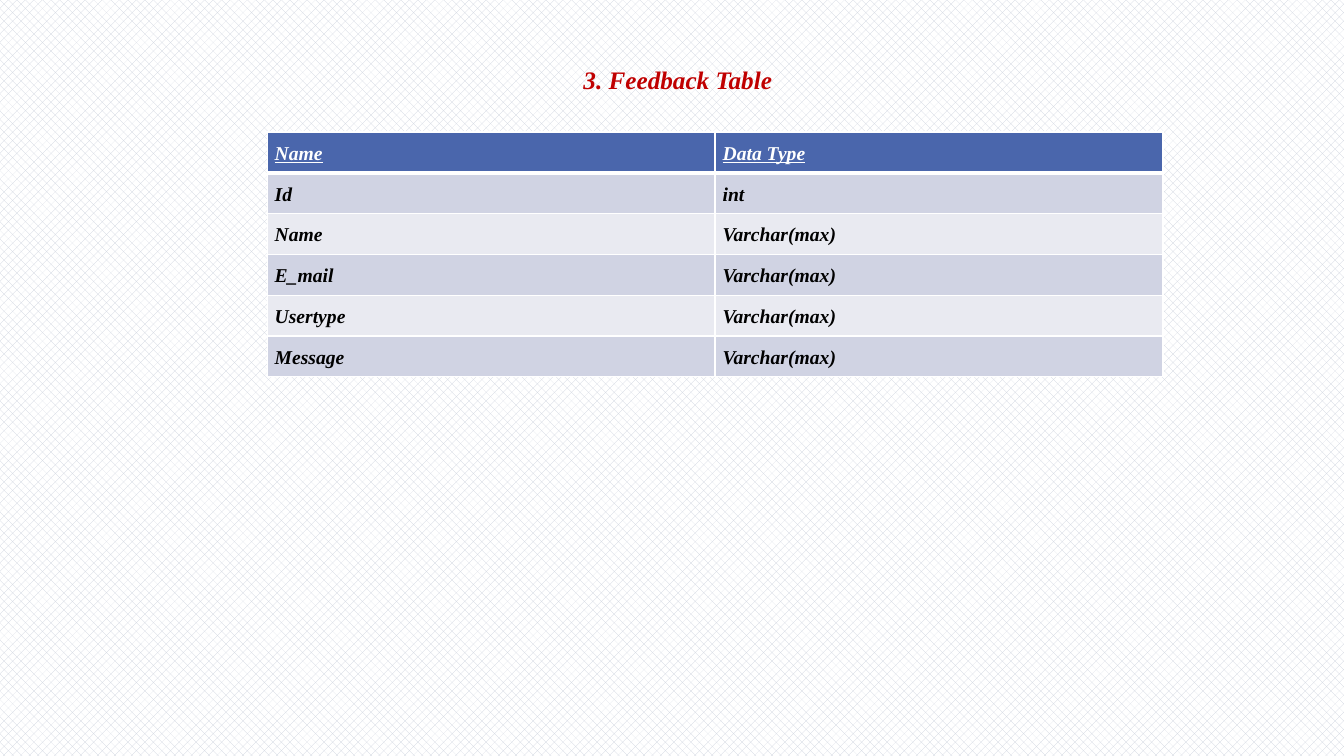
from lxml.etree import SubElement
from pptx import Presentation
from pptx.dml.color import RGBColor
from pptx.enum.dml import MSO_PATTERN
from pptx.enum.text import PP_ALIGN
from pptx.oxml.ns import qn
from pptx.util import Pt

WHITE = RGBColor(0xFF, 0xFF, 0xFF)
BLACK = RGBColor(0, 0, 0)
RED = RGBColor(0xC0, 0, 0)
BLUE = RGBColor(0x4A, 0x66, 0xAC)
DARK = RGBColor(0xD0, 0xD3, 0xE3)
LIGHT = RGBColor(0xE9, 0xEA, 0xF1)
WEAVE = RGBColor(0xCC, 0xD2, 0xDD)

FIELDS = [
    ("Name", "Data Type"),
    ("Id", "int"),
    ("Name", "Varchar(max)"),
    ("E_mail", "Varchar(max)"),
    ("Usertype", "Varchar(max)"),
    ("Message", "Varchar(max)"),
]


class Page:
    face = "Times New Roman"

    def __init__(self, deck):
        self.slide = deck.slides.add_slide(deck.slide_layouts[6])

    def back(self):
        fill = self.slide.background.fill
        fill.patterned()
        fill.pattern = MSO_PATTERN.WEAVE
        fill.fore_color.rgb = WEAVE
        fill.back_color.rgb = WHITE

    def style(self, para, size, color):
        para.alignment = PP_ALIGN.JUSTIFY
        para.line_spacing = 1.5
        font = para.font
        font.name, font.size = self.face, Pt(size)
        font.bold = font.italic = True
        font.color.rgb = color

    def title(self, text, left, top, width, height, indent):
        box = self.slide.shapes.add_textbox(Pt(left), Pt(top), Pt(width), Pt(height))
        box.text_frame.word_wrap = True
        para = box.text_frame.paragraphs[0]
        para.text = text
        para._p.get_or_add_pPr().set("marL", str(Pt(indent)))
        self.style(para, 18, RED)
        para.space_after = Pt(8)

    def border(self, cell, side, width):
        line = SubElement(cell._tc.get_or_add_tcPr(), qn(f"a:ln{side}"), w=str(Pt(width)))
        fill = SubElement(line, qn("a:solidFill"))
        SubElement(fill, qn("a:srgbClr"), val=str(WHITE))

    def cell(self, cell, text, row):
        head = row == 0
        cell.margin_left = cell.margin_right = Pt(5.4)
        cell.margin_top = cell.margin_bottom = 0
        for side in "LRTB":
            thick = (row, side) in ((0, "B"), (1, "T"))
            self.border(cell, side, 3 if thick else 1)
        cell.fill.solid()
        cell.fill.fore_color.rgb = BLUE if head else DARK if row % 2 else LIGHT
        cell.text = text
        para = cell.text_frame.paragraphs[0]
        self.style(para, 14, WHITE if head else BLACK)
        para.font.underline = head

    def table(self, data, left, top, width, height):
        frame = self.slide.shapes.add_table(
            len(data), len(data[0]), Pt(left), Pt(top), Pt(width), Pt(height))
        for row, texts in enumerate(data):
            for col, text in enumerate(texts):
                self.cell(frame.table.cell(row, col), text, row)


def main():
    deck = Presentation()
    deck.slide_width, deck.slide_height = Pt(960), Pt(540)
    page = Page(deck)
    page.back()
    page.title("3. Feedback Table", 337.7, 31.7, 224.6, 177.8, 72)
    page.table(FIELDS, 190.8, 94.3, 640, 175)
    deck.save("out.pptx")


if __name__ == "__main__":
    main()
